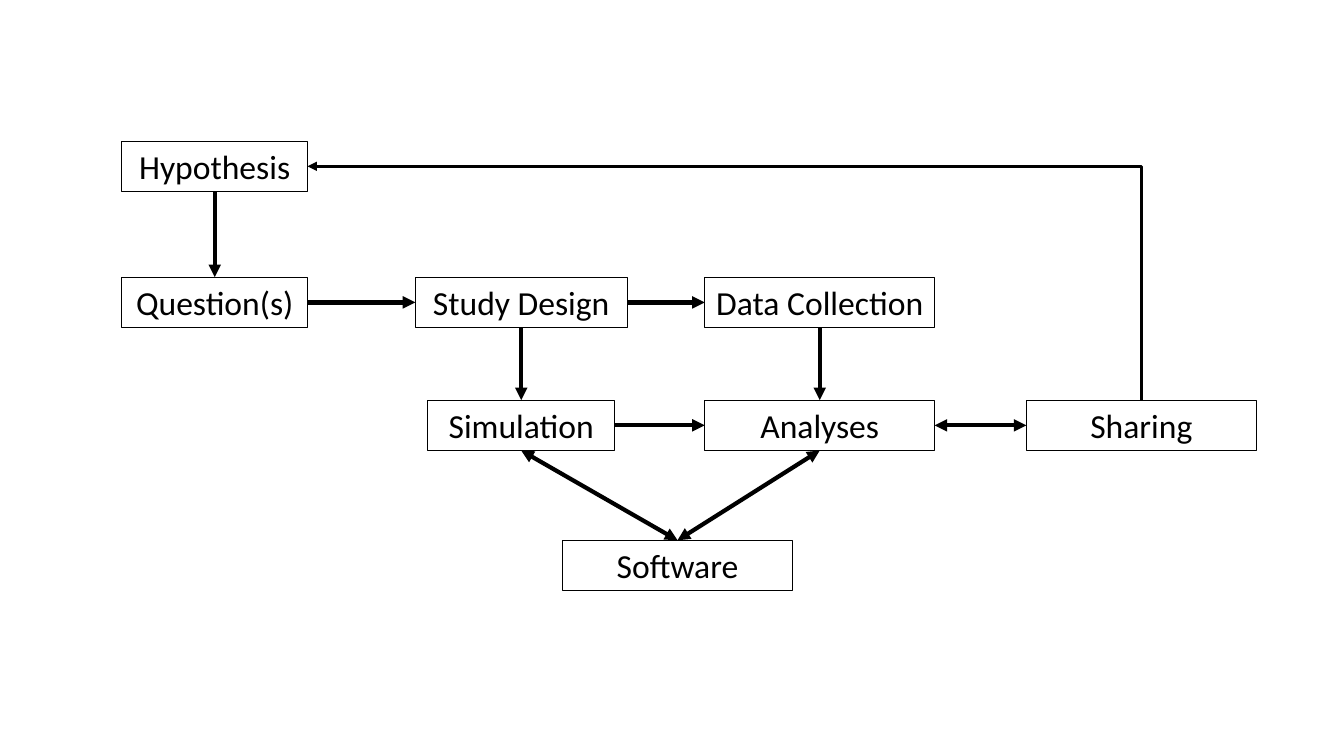
import pptx
import pptx.dml.color
import pptx.enum.shapes
import pptx.enum.text
import pptx.oxml
import pptx.oxml.ns
import pptx.util
from pptx.util import Inches

BLACK = pptx.dml.color.RGBColor(0x00, 0x00, 0x00)
BOX_HEIGHT = 0.5
TOP, LEFT, BOTTOM, RIGHT = range(4)
STRAIGHT = pptx.enum.shapes.MSO_CONNECTOR.STRAIGHT
ELBOW = pptx.enum.shapes.MSO_CONNECTOR.ELBOW

STEPS = [
    ("Question(s)", 2.13, 2.75, 1.84),
    ("Hypothesis", 2.13, 1.4, 1.84),
    ("Study Design", 5.17, 2.75, 2.1),
    ("Data Collection", 8.13, 2.75, 2.28),
    ("Simulation", 5.17, 3.97, 1.86),
    ("Software", 6.72, 5.36, 2.28),
    ("Analyses", 8.13, 3.97, 2.28),
    ("Sharing", 11.32, 3.97, 2.28),
]

ARROWS = [
    ("Hypothesis", BOTTOM, "Question(s)", TOP, ["tailEnd"]),
    ("Question(s)", RIGHT, "Study Design", LEFT, ["tailEnd"]),
    ("Study Design", RIGHT, "Data Collection", LEFT, ["tailEnd"]),
    ("Study Design", BOTTOM, "Simulation", TOP, ["tailEnd"]),
    ("Data Collection", BOTTOM, "Analyses", TOP, ["tailEnd"]),
    ("Simulation", RIGHT, "Analyses", LEFT, ["tailEnd"]),
    ("Simulation", BOTTOM, "Software", TOP, ["headEnd", "tailEnd"]),
    ("Analyses", BOTTOM, "Software", TOP, ["headEnd", "tailEnd"]),
    ("Analyses", RIGHT, "Sharing", LEFT, ["headEnd", "tailEnd"]),
]


class Diagram:
    text_format = {"name": "Calibri", "size": pptx.util.Pt(24)}
    frame_format = {
        "word_wrap": True,
        "auto_size": pptx.enum.text.MSO_AUTO_SIZE.SHAPE_TO_FIT_TEXT,
        "vertical_anchor": pptx.enum.text.MSO_ANCHOR.TOP,
    }

    def __init__(self, page):
        self.page = page
        self.boxes = {}

    def apply(self, target, values):
        for name, value in values.items():
            setattr(target, name, value)

    def outline(self, line, width):
        line.color.rgb = BLACK
        line.width = pptx.util.Pt(width)

    def step(self, label, center, top, width):
        box = self.page.shapes.add_shape(
            pptx.enum.shapes.MSO_SHAPE.RECTANGLE,
            Inches(center - width / 2), Inches(top), Inches(width), Inches(BOX_HEIGHT),
        )
        box.shadow.inherit = False
        box.fill.background()
        self.outline(box.line, 0.75)
        self.apply(box.text_frame, self.frame_format)
        para = box.text_frame.paragraphs[0]
        para.alignment = pptx.enum.text.PP_ALIGN.CENTER
        span = para.add_run()
        span.text = label
        self.apply(span.font, self.text_format)
        span.font.color.rgb = BLACK
        self.boxes[label] = box

    def arrow(self, start, start_side, end, end_side, heads, kind=STRAIGHT, width=3):
        connector = self.page.shapes.add_connector(kind, 0, 0, 0, 0)
        connector.begin_connect(self.boxes[start], start_side_index(start_side))
        connector.end_connect(self.boxes[end], start_side_index(end_side))
        self.outline(connector.line, width)
        line = connector.line._get_or_add_ln()
        for head in heads:
            pptx.oxml.ns.qn("a:" + head)
            line.append(pptx.oxml.parse_xml(
                f'<a:{head} {pptx.oxml.ns.nsdecls("a")} type="triangle"/>'))
        properties = connector._element.spPr
        properties.append(pptx.oxml.parse_xml(
            f'<a:effectLst {pptx.oxml.ns.nsdecls("a")}/>'))
        return connector

    def corner_arrow(self, start, start_side, end, end_side, heads):
        connector = self.arrow(start, start_side, end, end_side, heads, ELBOW, 2.25)
        geometry = connector._element.spPr.find(pptx.oxml.ns.qn("a:prstGeom"))
        geometry.set("prst", "bentConnector2")


def start_side_index(side):
    return int(side)


def main():
    deck = pptx.Presentation()
    deck.slide_width = Inches(13.33)
    deck.slide_height = Inches(7.5)
    page = deck.slides.add_slide(deck.slide_layouts[6])
    diagram = Diagram(page)
    for step in STEPS:
        diagram.step(*step)
    for arrow in ARROWS:
        diagram.arrow(*arrow)
    diagram.corner_arrow("Hypothesis", RIGHT, "Sharing", TOP, ["headEnd"])
    deck.save("out.pptx")


if __name__ == "__main__":
    main()
